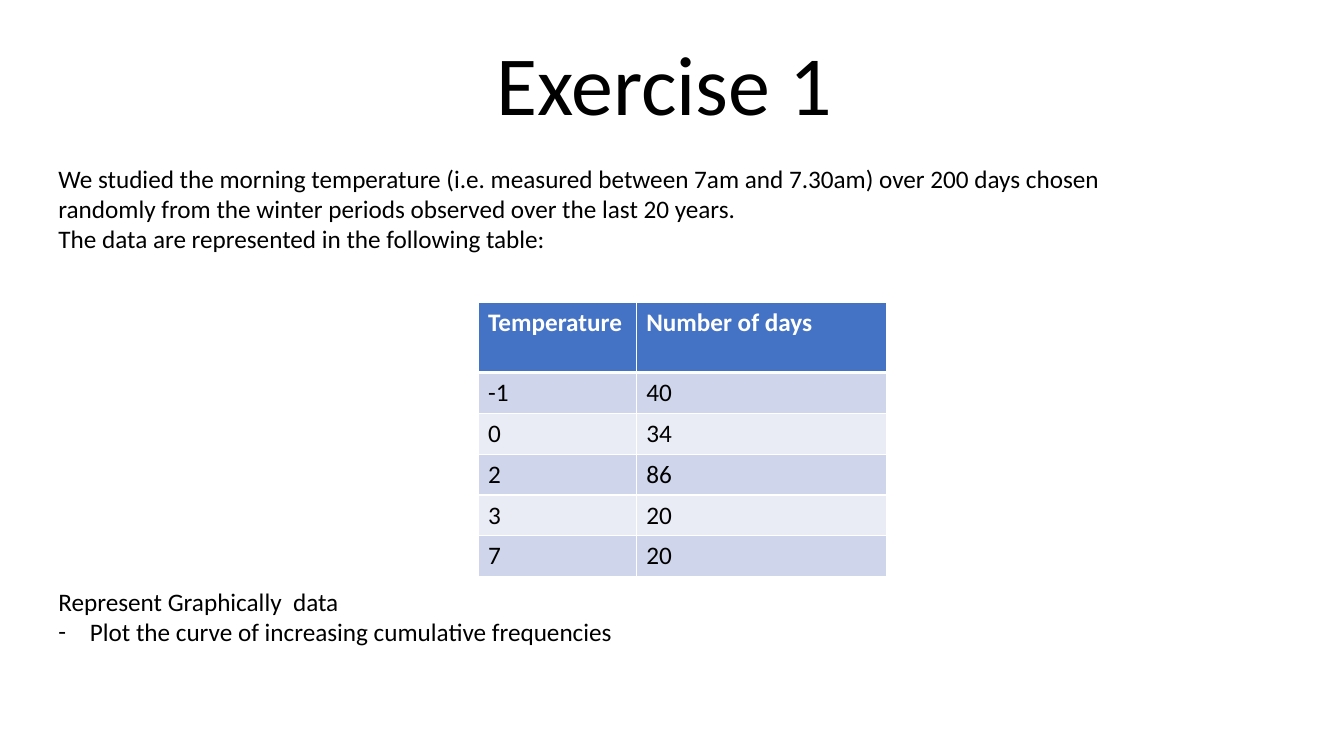
from lxml import etree
from pptx import Presentation, util as u
from pptx.dml import color
from pptx.enum import text
from pptx.oxml import ns

BLACK, WHITE, BLUE = "000000", "FFFFFF", "4472C4"
BANDS = ["CFD5EA", "E9EBF5"]


def hue(code):
    return color.RGBColor.from_string(code)


class Deck:
    face = "Calibri"
    size = 18

    def __init__(self, wide, high):
        self.prs = Presentation()
        self.prs.slide_width = u.Pt(wide)
        self.prs.slide_height = u.Pt(high)
        self.slide = self.prs.slides.add_slide(self.prs.slide_layouts[1])

    def run(self, para, words, size=None, tint=BLACK, bold=False):
        run = para.add_run()
        run.text = words
        font = run.font
        font.name, font.size, font.bold = self.face, u.Pt(size or self.size), bold
        font.color.rgb = hue(tint)

    def place(self, shape, box, anchor):
        shape.left, shape.top, shape.width, shape.height = map(u.Pt, box)
        frame = shape.text_frame
        frame.word_wrap = True
        frame.auto_size = text.MSO_AUTO_SIZE.NONE
        frame.vertical_anchor = anchor
        return frame

    def title(self, words, box):
        frame = self.place(self.slide.shapes.title, box, text.MSO_ANCHOR.BOTTOM)
        para = frame.paragraphs[0]
        para.alignment = text.PP_ALIGN.CENTER
        para.line_spacing = 0.9
        self.run(para, words, 60)

    def body(self, items, box):
        frame = self.place(self.slide.placeholders[1], box, text.MSO_ANCHOR.TOP)
        for i, (words, gap, mark) in enumerate(items):
            para = frame.add_paragraph() if i else frame.paragraphs[0]
            self.bullet(para, mark)
            para.alignment = text.PP_ALIGN.LEFT
            para.space_before = u.Pt(gap)
            self.run(para, words)

    def bullet(self, para, mark):
        props = para._p.get_or_add_pPr()
        dent = u.Pt(22.5) if mark else 0
        props.set("marL", str(dent))
        props.set("indent", str(-dent))
        if mark:
            etree.SubElement(props, ns.qn("a:buFont"), typeface=self.face)
            etree.SubElement(props, ns.qn("a:buChar"), char=mark)
        else:
            etree.SubElement(props, ns.qn("a:buNone"))

    def border(self, cell, top, bottom):
        props = cell._tc.get_or_add_tcPr()
        for side, width in zip("LRTB", (1, 1, top, bottom)):
            line = etree.SubElement(props, ns.qn("a:ln" + side), w=str(u.Pt(width)))
            fill = etree.SubElement(line, ns.qn("a:solidFill"))
            etree.SubElement(fill, ns.qn("a:srgbClr"), val=WHITE)

    def table(self, rows, left, top, widths, head, high):
        total = head + high * (len(rows) - 1)
        grid = self.slide.shapes.add_table(
            len(rows), len(widths), u.Pt(left), u.Pt(top),
            u.Pt(sum(widths)), u.Pt(total)).table
        for col, width in zip(grid.columns, widths):
            col.width = u.Pt(width)
        for r, row in enumerate(rows):
            first = r == 0
            grid.rows[r].height = u.Pt(head if first else high)
            for c, words in enumerate(row):
                cell = grid.cell(r, c)
                self.border(cell, 3 if r == 1 else 1, 3 if first else 1)
                cell.fill.solid()
                cell.fill.fore_color.rgb = hue(BLUE if first else BANDS[(r - 1) % 2])
                self.run(cell.text_frame.paragraphs[0], words,
                         tint=WHITE if first else BLACK, bold=first)


def main():
    deck = Deck(960, 540)
    deck.title("Exercise 1", (114.5, 2, 720, 97))
    deck.body([
        ("We studied the morning temperature (i.e. measured between 7am and 7.30am) "
         "over 200 days chosen randomly from the winter periods observed over the "
         "last 20 years.", 0, None),
        ("The data are represented in the following table:", 0, None),
        ("Represent Graphically  data", 237.5, None),
        ("Plot the curve of increasing cumulative frequencies", 0, "-"),
    ], (34.5, 113, 790.5, 422))
    deck.table([
        ("Temperature", "Number of days"),
        ("-1", "40"),
        ("0", "34"),
        ("2", "86"),
        ("3", "20"),
        ("7", "20"),
    ], 341.5, 216, (113, 179), 50, 29.2)
    deck.prs.save("out.pptx")


if __name__ == "__main__":
    main()
